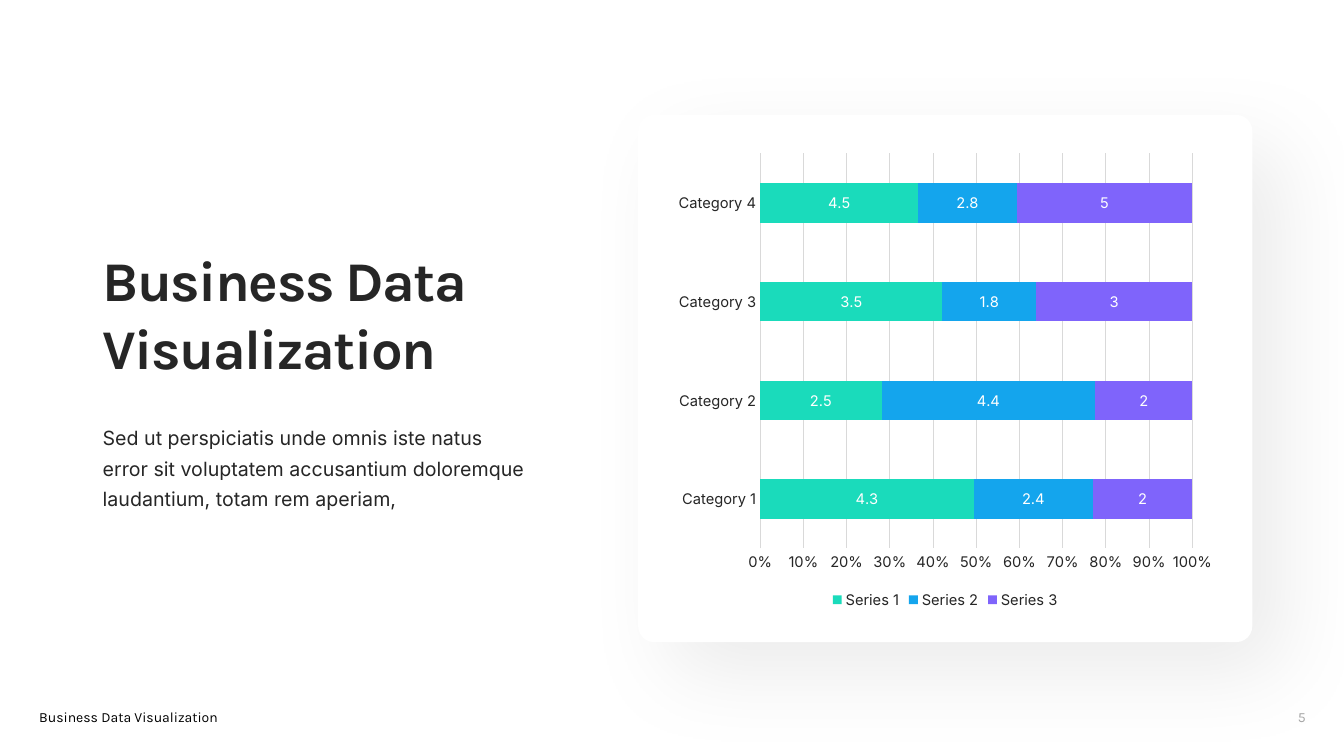
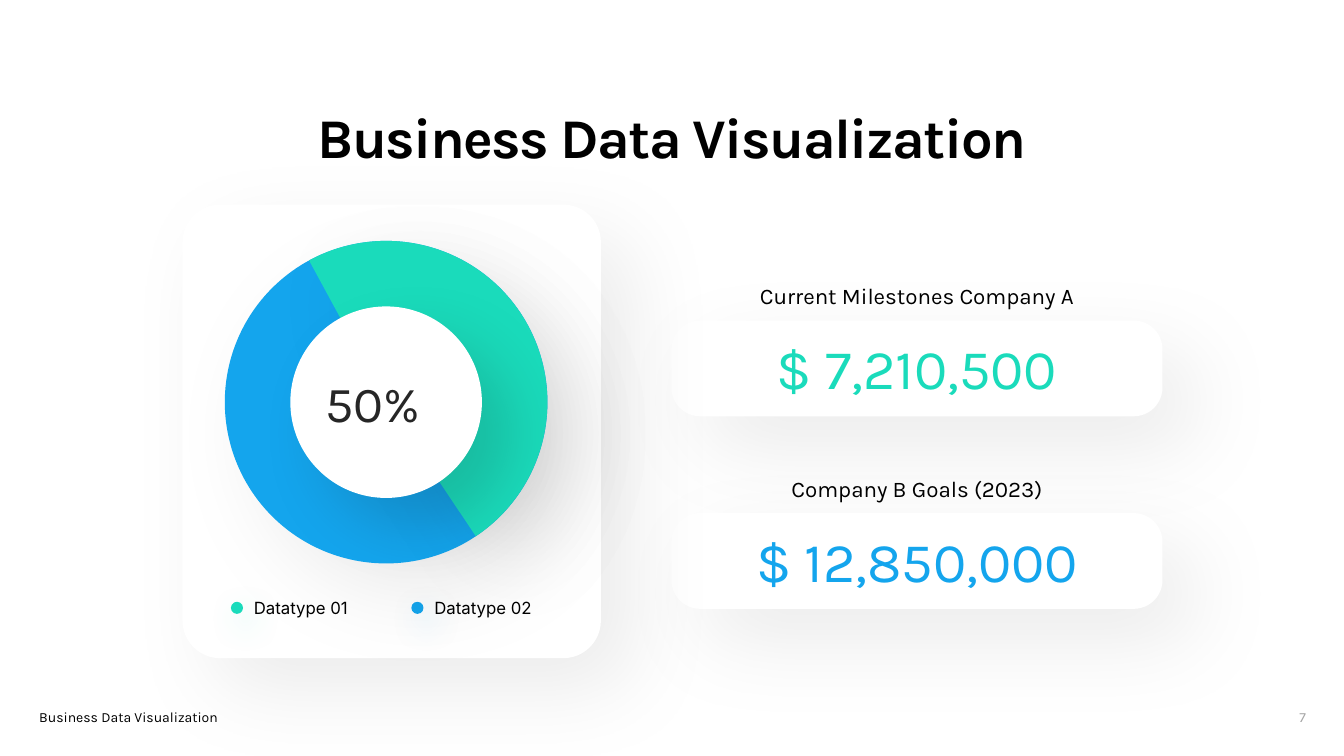
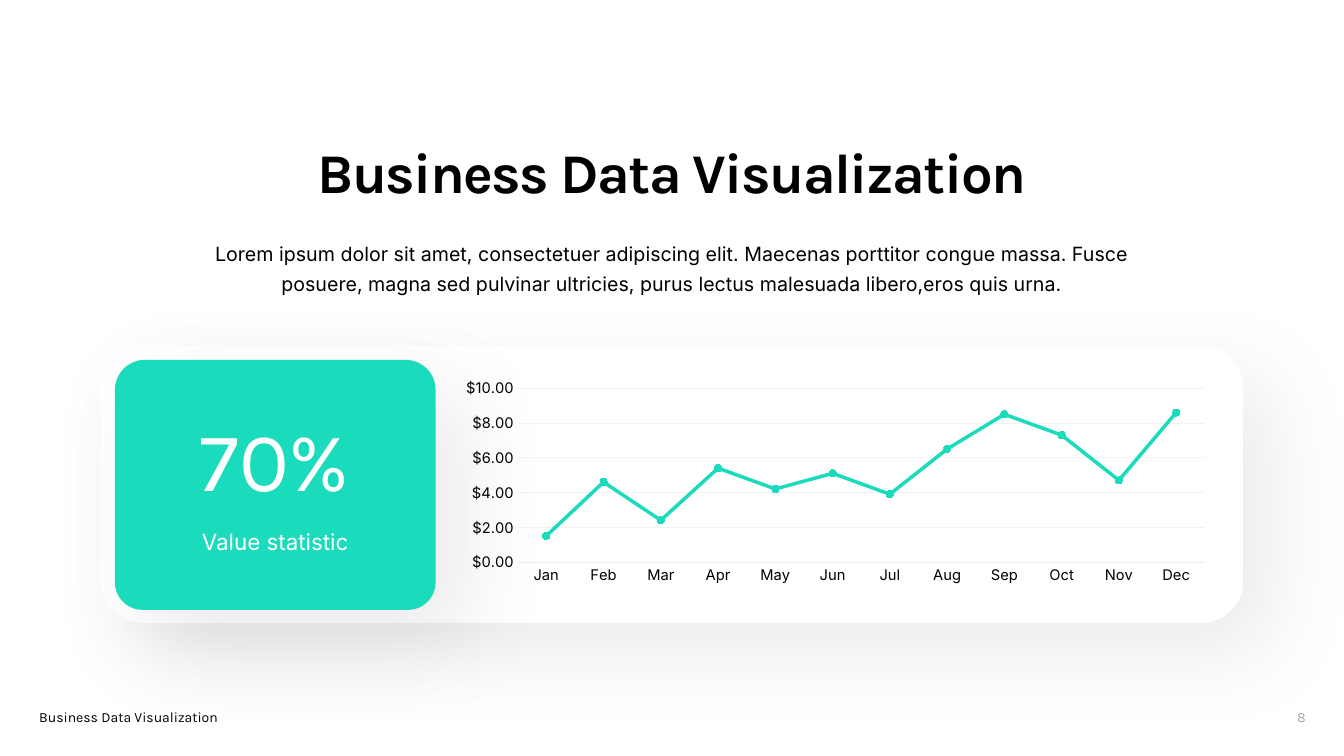
"""Build three business data visualization slides."""
from dataclasses import dataclass

from lxml import etree
from pptx import Presentation
from pptx.chart.data import CategoryChartData
from pptx.dml.color import RGBColor
from pptx.enum.chart import (XL_CHART_TYPE, XL_LABEL_POSITION, XL_LEGEND_POSITION,
                             XL_MARKER_STYLE, XL_TICK_MARK)
from pptx.enum.shapes import MSO_SHAPE
from pptx.enum.text import MSO_AUTO_SIZE, PP_ALIGN
from pptx.oxml import parse_xml
from pptx.oxml.ns import nsdecls, qn
from pptx.util import Inches, Pt

LEFT, CENTER, RIGHT = PP_ALIGN.LEFT, PP_ALIGN.CENTER, PP_ALIGN.RIGHT
ELLIPSE, PIE = MSO_SHAPE.OVAL, MSO_SHAPE.PIE
ROUNDED, TWO_ROUNDED = MSO_SHAPE.ROUNDED_RECTANGLE, MSO_SHAPE.ROUND_2_SAME_RECTANGLE
STACKED_BARS, MARKED_LINE = XL_CHART_TYPE.BAR_STACKED_100, XL_CHART_TYPE.LINE_MARKERS
NO_TICK = XL_TICK_MARK.NONE
TITLE = "Business Data Visualization"


@dataclass(frozen=True)
class Theme:
    """Colours, fonts and type sizes shared by the slides."""
    black: str = "000000"
    ink: str = "262626"
    muted: str = "A6A6A6"
    white: str = "FFFFFF"
    teal: str = "1ADBBB"
    blue: str = "14A5ED"
    violet: str = "7F64FB"
    bar_grid: str = "D9D9D9"
    line_axis: str = "EDEDED"
    line_grid: str = "F2F2F2"
    heading: str = "Karla"
    body: str = "Inter"
    statistic_size: float = 60
    title_size: float = 40
    share_size: float = 36
    label_size: float = 16
    body_size: float = 14
    legend_size: float = 12
    chart_size: float = 10.5
    footer_size: float = 10


@dataclass(frozen=True)
class Shadow:
    """Outer shadow: colour, opacity percent, blur and distance in points, degrees."""
    color: str
    opacity: int
    blur: int
    distance: int
    angle: int


@dataclass(frozen=True)
class Box:
    """A rectangle in inches."""
    left: float
    top: float
    width: float
    height: float

    def within(self, left, top, width, height):
        """Return a box placed relative to this one."""
        return Box(self.left + left, self.top + top, width, height)

    def inset(self, margin):
        """Return this box shrunk by a margin on every side."""
        return self.within(margin, margin, self.width - 2 * margin, self.height - 2 * margin)

    def lengths(self):
        """Return left, top, width and height as lengths."""
        return [Inches(value) for value in (self.left, self.top, self.width, self.height)]


THEME = Theme()
SOFT_SHADOW = Shadow(THEME.black, 8, 64, 32, 45)
HOLE_SHADOW = Shadow("0D0D0D", 14, 45, 31, 45)


def rgb(color):
    """Convert a hex string to a colour."""
    return RGBColor.from_string(color)


def style_font(font, size, color, name=THEME.body):
    """Set the size, colour and typeface of a font."""
    font.size, font.name = Pt(size), name
    font.color.rgb = rgb(color)


def add_text(slide, box, text, size, color=THEME.black, name=THEME.body, align=LEFT,
             wrap=True, bold=False, tracking=0, line_spacing=None, space_before=0):
    """Add a text box holding one formatted paragraph."""
    frame = slide.shapes.add_textbox(*box.lengths()).text_frame
    frame.word_wrap = wrap
    frame.auto_size = MSO_AUTO_SIZE.SHAPE_TO_FIT_TEXT
    frame.text = text
    paragraph = frame.paragraphs[0]
    paragraph.alignment = align
    paragraph.space_before = Pt(space_before)
    if line_spacing:
        paragraph.line_spacing = line_spacing
    run = paragraph.runs[0]
    style_font(run.font, size, color, name)
    run.font.bold = bold
    if tracking:
        run._r.get_or_add_rPr().set("spc", str(round(tracking * 100)))


def add_panel(slide, box, kind, color, adjustments=(), shadow=SOFT_SHADOW):
    """Add a borderless filled shape with a soft shadow."""
    shape = slide.shapes.add_shape(kind, *box.lengths())
    for index, value in enumerate(adjustments):
        shape.adjustments[index] = value
    shape.fill.solid()
    shape.fill.fore_color.rgb = rgb(color)
    shape.line.fill.background()
    shape.shadow.inherit = False
    effects = shape._element.spPr.find(qn("a:effectLst"))
    effects.append(parse_xml(
        f'<a:outerShdw {nsdecls("a")} blurRad="{Pt(shadow.blur)}" dist="{Pt(shadow.distance)}" '
        f'dir="{shadow.angle * 60000}" algn="tl" rotWithShape="0">'
        f'<a:srgbClr val="{shadow.color}"><a:alpha val="{shadow.opacity * 1000}"/></a:srgbClr>'
        f'</a:outerShdw>'))


def add_title(slide, box, color=THEME.black, align=CENTER):
    """Add the slide title."""
    add_text(slide, box, TITLE, THEME.title_size, color, THEME.heading, align,
             bold=True, tracking=-1.1)


def add_footer(slide, number):
    """Add the running title and the page number."""
    add_text(slide, Box(0.29, 6.98, 2.02, 0.27), TITLE, THEME.footer_size,
             name=THEME.heading, wrap=False)
    add_text(slide, Box(12.62, 6.98, 0.43, 0.27), str(number), THEME.footer_size,
             THEME.muted, THEME.heading, RIGHT, wrap=False)


def add_chart(slide, box, kind, categories, series, color, axis_line, grid_line, width):
    """Add a chart with tick-free axes and thin grid lines."""
    data = CategoryChartData()
    data.categories = categories
    for name, values in series.items():
        data.add_series(name, values)
    chart = slide.shapes.add_chart(kind, *box.lengths(), data).chart
    chart.has_title = False
    chart.has_legend = False
    style_font(chart.font, THEME.chart_size, color)
    category_axis, value_axis = chart.category_axis, chart.value_axis
    for axis in (category_axis, value_axis):
        axis.major_tick_mark = axis.minor_tick_mark = NO_TICK
        style_font(axis.tick_labels.font, THEME.chart_size, color)
    value_axis.has_major_gridlines = True
    value_axis.format.line.fill.background()
    for line, shade in ((category_axis.format.line, axis_line),
                        (value_axis.major_gridlines.format.line, grid_line)):
        line.color.rgb = rgb(shade)
        line.width = Pt(width)
    value_axis.tick_labels.number_format_is_linked = False
    return chart


def add_share_bars(slide, box):
    """Add the stacked bars with value labels and a legend."""
    series = {"Series 1": (4.3, 2.5, 3.5, 4.5),
              "Series 2": (2.4, 4.4, 1.8, 2.8),
              "Series 3": (2, 2, 3, 5)}
    categories = [f"Category {number}" for number in range(1, 5)]
    chart = add_chart(slide, box, STACKED_BARS, categories, series, THEME.ink,
                      THEME.bar_grid, THEME.bar_grid, 0.75)
    chart.value_axis.tick_labels.number_format = "0%"
    plot = chart.plots[0]
    plot.gap_width, plot.overlap, plot.vary_by_categories = 150, 100, False
    for bars, color in zip(plot.series, (THEME.teal, THEME.blue, THEME.violet)):
        bars.format.fill.solid()
        bars.format.fill.fore_color.rgb = rgb(color)
        labels = bars.data_labels
        labels.show_value = True
        labels.position = XL_LABEL_POSITION.CENTER
        style_font(labels.font, THEME.chart_size, THEME.white)
    chart.has_legend = True
    chart.legend.position = XL_LEGEND_POSITION.BOTTOM
    chart.legend.include_in_layout = False
    style_font(chart.legend.font, THEME.chart_size, THEME.ink)


def set_plot_layout(chart, **fractions):
    """Fix the inner plot area as fractions of the chart."""
    plot_area = chart.element.chart.plotArea
    for old_layout in plot_area.findall(qn("c:layout")):
        plot_area.remove(old_layout)
    layout = etree.Element(qn("c:layout"))
    manual = etree.SubElement(layout, qn("c:manualLayout"))
    settings = {"layoutTarget": "inner", "xMode": "edge", "yMode": "edge", **fractions}
    for name, value in settings.items():
        etree.SubElement(manual, qn(f"c:{name}")).set("val", str(value))
    plot_area.insert(0, layout)


def add_monthly_line(slide, box):
    """Add the monthly line chart."""
    months = "Jan Feb Mar Apr May Jun Jul Aug Sep Oct Nov Dec".split()
    values = (1.5, 4.6, 2.4, 5.4, 4.2, 5.1, 3.9, 6.5, 8.5, 7.3, 4.7, 8.6)
    chart = add_chart(slide, box, MARKED_LINE, months, {"Series 1": values}, THEME.black,
                      THEME.line_axis, THEME.line_grid, 0.5)
    axis = chart.value_axis
    axis.minimum_scale, axis.maximum_scale, axis.major_unit = 0, 10, 2
    axis.tick_labels.number_format = '"$"#,##0.00'
    plot = chart.plots[0]
    plot.vary_by_categories = False
    series = plot.series[0]
    series.smooth = False
    series.format.line.color.rgb = rgb(THEME.teal)
    series.format.line.width = Pt(2.5)
    marker = series.marker
    marker.style, marker.size = XL_MARKER_STYLE.CIRCLE, 5
    marker.format.fill.solid()
    marker.format.fill.fore_color.rgb = rgb(THEME.teal)
    marker.format.line.color.rgb = rgb(THEME.teal)
    set_plot_layout(chart, x=0.07, y=0.08, w=0.91, h=0.76)


def add_donut(slide, box):
    """Add the ring built from a disc, a pie and a hole, with its share."""
    add_panel(slide, box, ELLIPSE, THEME.blue)
    add_panel(slide, box, PIE, THEME.teal, (144.89, 33.73))
    add_panel(slide, box.inset(0.65), ELLIPSE, THEME.white, shadow=HOLE_SHADOW)
    add_text(slide, box.within(0.9, 1.25, 1.39, 0.71), "50%", THEME.share_size,
             THEME.ink, THEME.heading, wrap=False)


def add_donut_card(slide, box):
    """Add the card with the ring and its legend."""
    add_panel(slide, box, ROUNDED, THEME.white, (0.09,))
    entries = (("Datatype 01", THEME.teal), ("Datatype 02", THEME.blue))
    for index, (name, color) in enumerate(entries):
        entry = box.within(0.48 + index * 1.79, 3.85, 1.46, 0.3)
        add_panel(slide, entry.within(0, 0.09, 0.12, 0.12), ELLIPSE, color,
                  shadow=Shadow(color, 40, 25, 10, 50))
        add_text(slide, entry.within(0.13, 0, 1.33, 0.3), name, THEME.legend_size)
    add_donut(slide, box.within(0.42, 0.36, 3.2, 3.2))


def add_amount(slide, box, label, amount, color):
    """Add a labelled amount on a rounded card."""
    add_panel(slide, box.within(0, 0.43, box.width, 0.95), ROUNDED, THEME.white, (0.3,))
    add_text(slide, box.within(0.19, 0.51, box.width - 0.38, 0.77), amount,
             THEME.title_size, color, THEME.heading, CENTER)
    add_text(slide, box.within(0.1, 0, box.width - 0.2, 0.37), label,
             THEME.label_size, name=THEME.heading, align=CENTER)


def add_statistic(slide, box):
    """Add the coloured statistic tile."""
    add_panel(slide, box, TWO_ROUNDED, THEME.teal, (0.12, 0.11))
    add_text(slide, box.within(0.46, 0.42, 2.25, 1.11), "70%", THEME.statistic_size,
             THEME.white, THEME.heading, CENTER)
    add_text(slide, box.within(0.71, 1.62, 1.76, 0.37), "Value statistic",
             THEME.label_size, THEME.white, align=CENTER, wrap=False)


def build_bar_slide(slide):
    """Place the introduction beside the bar chart card."""
    card = Box(6.33, 1.14, 6.09, 5.23)
    add_panel(slide, card, ROUNDED, THEME.white, (0.03,))
    add_share_bars(slide, card.inset(0.29))
    introduction = Box(0.92, 2.39, 4.46, 2.72)
    add_title(slide, introduction.within(0, 0, 4.46, 1.45), THEME.ink, LEFT)
    add_text(slide, introduction.within(0, 1.72, 4.46, 1),
             "Sed ut perspiciatis unde omnis iste natus error sit voluptatem accusantium "
             "doloremque laudantium, totam rem aperiam,",
             THEME.body_size, THEME.ink, line_spacing=1.3, space_before=9)


def build_milestone_slide(slide):
    """Place the ring card beside the two amounts."""
    amounts = (("Current Milestones Company A", "$ 7,210,500", THEME.teal),
               ("Company B Goals (2023)", "$ 12,850,000", THEME.blue))
    for index, amount in enumerate(amounts):
        add_amount(slide, Box(6.66, 2.75 + index * 1.91, 4.87, 1.38), *amount)
    add_title(slide, Box(2.23, 0.97, 8.87, 0.77))
    add_donut_card(slide, Box(1.81, 2.03, 4.15, 4.5))


def build_line_slide(slide):
    """Place the title and summary above the statistic and line chart."""
    add_title(slide, Box(2.23, 1.32, 8.87, 0.77))
    add_text(slide, Box(1.92, 2.28, 9.49, 0.69),
             "Lorem ipsum dolor sit amet, consectetuer adipiscing elit. Maecenas porttitor "
             "congue massa. Fusce posuere, magna sed pulvinar ultricies, purus lectus "
             "malesuada libero,eros quis urna.",
             THEME.body_size, align=CENTER, line_spacing=1.3)
    card = Box(1, 3.43, 11.33, 2.75)
    add_panel(slide, card, ROUNDED, THEME.white, (0.15,))
    add_monthly_line(slide, card.within(3.61, 0.24, 7.49, 2.27))
    add_statistic(slide, card.within(0.14, 0.14, 3.18, 2.48))


def main():
    """Build and save the presentation."""
    presentation = Presentation()
    presentation.slide_width, presentation.slide_height = Inches(13.33), Inches(7.5)
    blank = presentation.slide_layouts[6]
    pages = ((5, build_bar_slide), (7, build_milestone_slide), (8, build_line_slide))
    for number, build in pages:
        slide = presentation.slides.add_slide(blank)
        add_footer(slide, number)
        build(slide)
    presentation.save("out.pptx")


if __name__ == "__main__":
    main()
